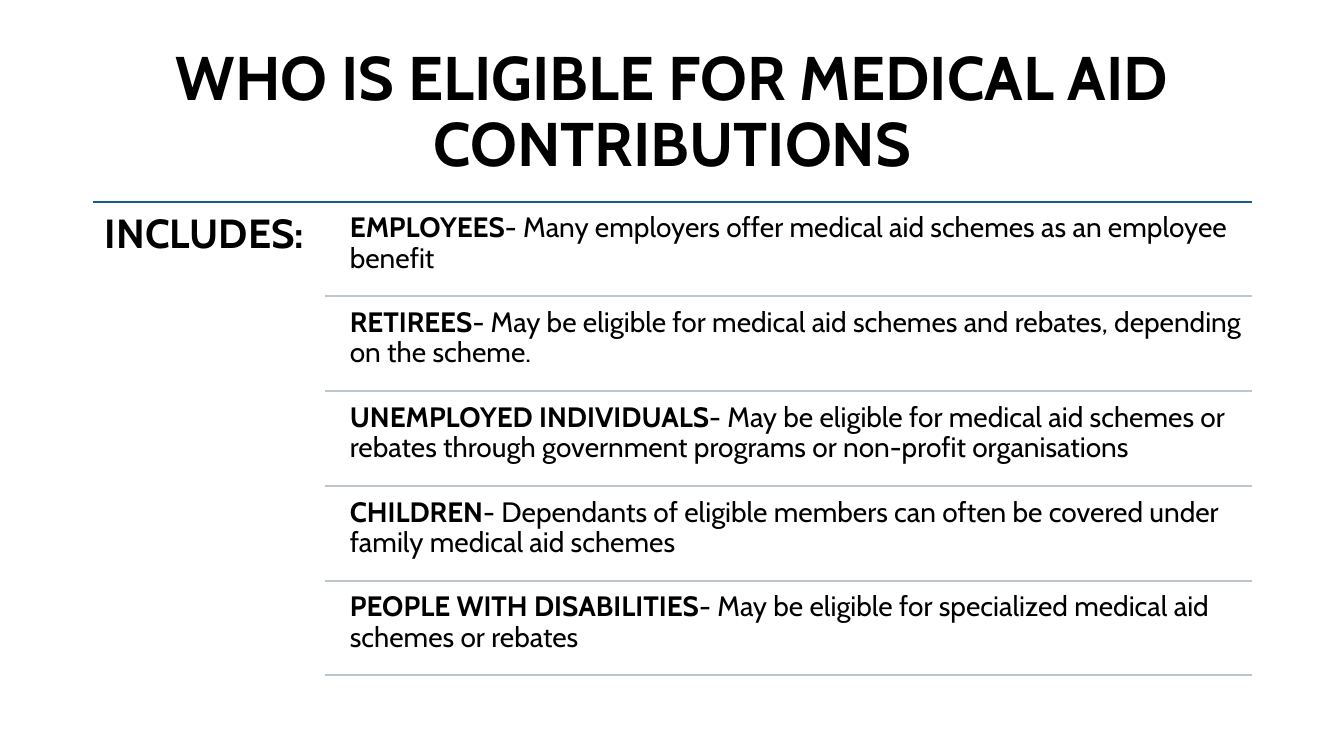
"""Build the slide on who is eligible for medical aid contributions."""
from lxml import etree
from pptx import Presentation
from pptx.dml.color import RGBColor
from pptx.enum.shapes import MSO_CONNECTOR
from pptx.enum.text import MSO_ANCHOR, PP_ALIGN
from pptx.oxml.ns import qn
from pptx.util import Inches, Pt

STRAIGHT = MSO_CONNECTOR.STRAIGHT
TOP, MIDDLE = MSO_ANCHOR.TOP, MSO_ANCHOR.MIDDLE
LEFT, CENTER = PP_ALIGN.LEFT, PP_ALIGN.CENTER

BLACK = RGBColor(0x00, 0x00, 0x00)
TEAL = RGBColor(0x15, 0x60, 0x82)
GREY = RGBColor(0xBD, 0xC5, 0xCD)

MARGIN_LEFT, MARGIN_RIGHT = 0.92, 12.42
LIST_TOP, ROW_PITCH = 2, 0.94
GROUPS = [
    ("EMPLOYEES", "- Many employers offer medical aid schemes as an employee benefit"),
    ("RETIREES", "- May be eligible for medical aid schemes and rebates, depending on the scheme."),
    ("UNEMPLOYED INDIVIDUALS", "- May be eligible for medical aid schemes or rebates through "
     "government programs or non-profit organisations"),
    ("CHILDREN", "- Dependants of eligible members can often be covered under family medical aid schemes"),
    ("PEOPLE WITH DISABILITIES", "- May be eligible for specialized medical aid schemes or rebates"),
]

prs = Presentation()
prs.slide_width, prs.slide_height = Inches(13.33), Inches(7.5)
slide = prs.slides.add_slide(prs.slide_layouts[6])


def add_text(bounds, size, inset, heading, detail="", anchor=TOP, align=LEFT):
    frame = slide.shapes.add_textbox(*map(Inches, bounds)).text_frame
    frame.word_wrap = True
    frame.vertical_anchor = anchor
    frame.margin_left = frame.margin_right = Inches(inset)
    frame.margin_top = frame.margin_bottom = Inches(inset)
    paragraph = frame.paragraphs[0]
    paragraph.alignment = align
    paragraph.line_spacing = 0.9
    for words, bold in ((heading, True), (detail, False)):
        if words:
            run = paragraph.add_run()
            run.text = words
            run.font.name = "Cabin"
            run.font.size = Pt(size)
            run.font.bold = bold
            run.font.color.rgb = BLACK


def add_rule(left, y, color):
    rule = slide.shapes.add_connector(
        STRAIGHT, Inches(left), Inches(y), Inches(MARGIN_RIGHT), Inches(y))
    rule.line.color.rgb = color
    rule.line.width = Pt(1.5)
    etree.SubElement(rule._element.spPr, qn("a:effectLst"))


add_text((MARGIN_LEFT, 0.4, 11.5, 1.45), 44, 0.08,
         "WHO IS ELIGIBLE FOR MEDICAL AID CONTRIBUTIONS", anchor=MIDDLE, align=CENTER)
add_rule(MARGIN_LEFT, LIST_TOP, TEAL)
add_text((MARGIN_LEFT, LIST_TOP, 2.3, 4.76), 29, 0.12, "INCLUDES:")

for row, (group, explanation) in enumerate(GROUPS):
    row_top = LIST_TOP + row * ROW_PITCH
    add_text((3.39, row_top + 0.04, 9.03, 0.9), 20, 0.08, group, explanation)
    add_rule(3.22, row_top + ROW_PITCH, GREY)

prs.save("out.pptx")
